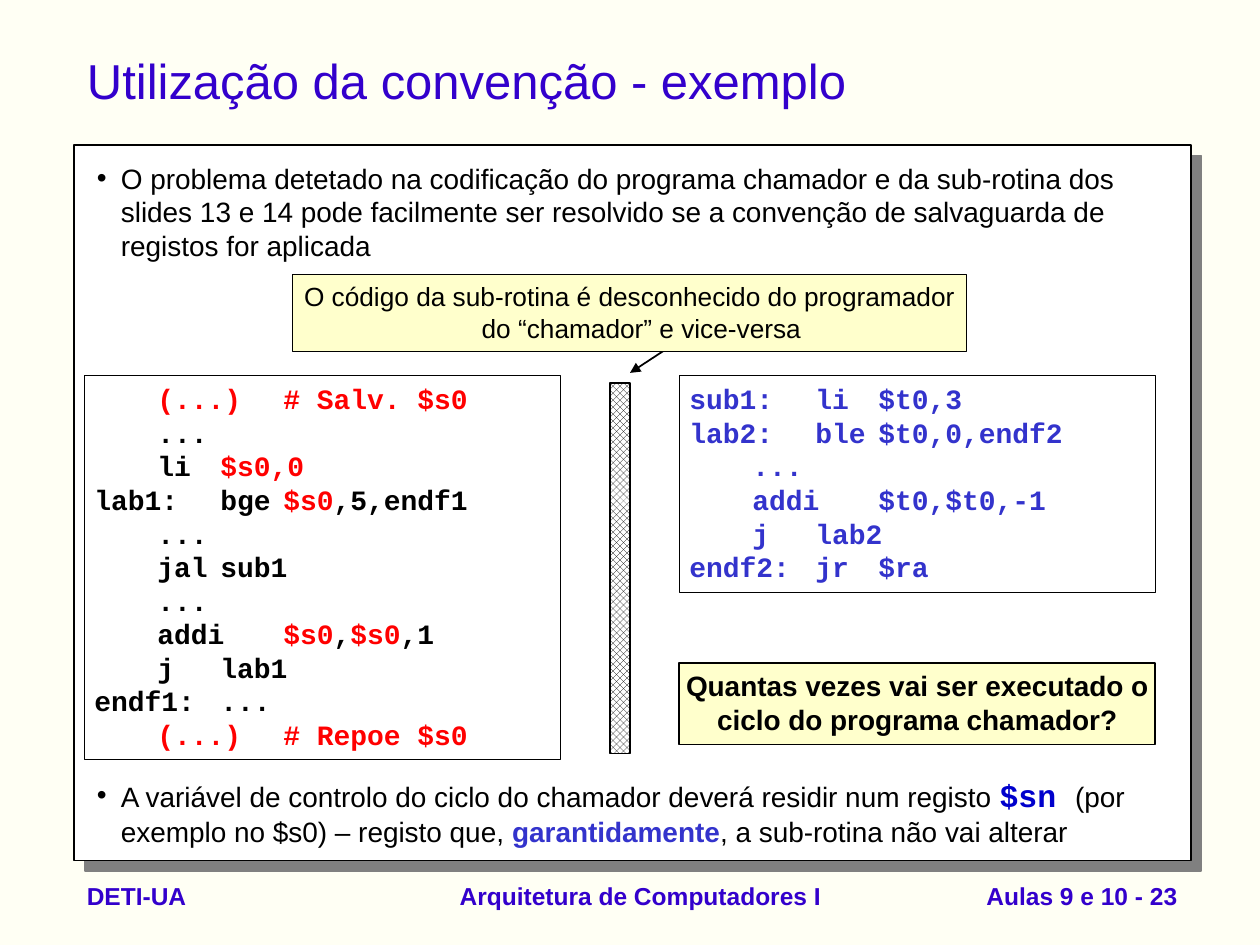
from lxml import etree
from pptx import Presentation
from pptx.dml.color import RGBColor
from pptx.enum.dml import MSO_PATTERN
from pptx.enum.shapes import MSO_CONNECTOR, MSO_SHAPE
from pptx.enum.text import MSO_ANCHOR, MSO_AUTO_SIZE, PP_ALIGN
from pptx.oxml.ns import qn
from pptx.util import Pt

RECTANGLE = MSO_SHAPE.RECTANGLE
LEFT, CENTER, RIGHT = PP_ALIGN.LEFT, PP_ALIGN.CENTER, PP_ALIGN.RIGHT
TOP, MIDDLE = MSO_ANCHOR.TOP, MSO_ANCHOR.MIDDLE
SANS, MONO = "Arial", "Courier New"
BLACK, WHITE, GREY, CREAM = "000000", "FFFFFF", "808080", "FFFFF4"
VIOLET, BLUE, DARK_BLUE = "3300CC", "3333CC", "0000CC"
RED, YELLOW = "FF0000", "FFFFCC"
HANGING = 13.7

TITLE = "Utilização da convenção - exemplo"
PROBLEM = [[
    "O problema detetado na codificação do programa chamador e da sub-rotina dos "
    "slides 13 e 14 pode facilmente ser resolvido se a convenção de salvaguarda de "
    "registos for aplicada"]]
SOLUTION = [[
    "A variável de controlo do ciclo do chamador deverá residir num registo ",
    ("$sn ", {"color": DARK_BLUE, "bold": True, "name": MONO, "size": 18}),
    "(por exemplo no $s0) – registo que, ",
    ("garantidamente", {"color": BLUE, "bold": True}),
    ", a sub-rotina não vai alterar"]]
CALLOUT = [["O código da sub-rotina é desconhecido do programador do “chamador” e vice-versa"]]
QUESTION = [["Quantas vezes vai ser executado o ciclo do programa chamador?"]]
HOT = {"color": RED}
CALLER = [
    [("\t(...)\t# Salv. $s0", HOT)],
    ["\t..."],
    ["\tli\t", ("$s0,0", HOT)],
    ["lab1:\tbge\t", ("$s0", HOT), ",5,endf1"],
    ["\t..."],
    ["\tjal\tsub1"],
    ["\t..."],
    ["\taddi\t", ("$s0", HOT), ",", ("$s0", HOT), ",1"],
    ["\tj\tlab1"],
    ["endf1:\t..."],
    [("\t(...)\t# Repoe $s0", HOT)],
]
SUBROUTINE = [
    ["sub1:\tli\t$t0,3"],
    ["lab2:\tble\t$t0,0,endf2"],
    ["\t..."],
    ["\taddi\t$t0,$t0,-1"],
    ["\tj\tlab2"],
    ["endf2:\tjr\t$ra"],
]
FOOTERS = [
    ("DETI-UA", 42.5, 170, LEFT),
    ("Arquitetura de Computadores I", 252, 228, CENTER),
    ("Aulas 9 e 10 - 23", 512, 168, RIGHT),
]


def rgb(value):
    return RGBColor.from_string(value)


def style(font, name=SANS, size=16, color=BLACK, bold=False):
    font.name, font.size, font.bold = name, Pt(size), bold
    font.color.rgb = rgb(color)


def place(shape, left, top, width, height):
    shape.left, shape.top = Pt(left), Pt(top)
    shape.width, shape.height = Pt(width), Pt(height)


def write(shape, lines, align=LEFT, anchor=TOP, inset=7.2, hanging=0, **look):
    frame = shape.text_frame
    frame.word_wrap, frame.auto_size = True, MSO_AUTO_SIZE.NONE
    frame.vertical_anchor = anchor
    frame.margin_left = frame.margin_right = Pt(inset)
    frame.margin_top = frame.margin_bottom = Pt(3.6)
    for number, line in enumerate(lines):
        para = frame.paragraphs[0] if number == 0 else frame.add_paragraph()
        para.alignment, para.space_before = align, Pt(0)
        if hanging:
            properties = para._p.get_or_add_pPr()
            properties.set("marL", str(Pt(hanging)))
            properties.set("indent", str(-Pt(hanging)))
        style(para.font, **look)
        for part in line:
            text, changes = (part, {}) if isinstance(part, str) else part
            span = para.add_run()
            span.text = text
            if changes:
                style(span.font, **{**look, **changes})


def add_box(page, left, top, width, height, fill=None, line=1):
    box = page.shapes.add_shape(RECTANGLE, Pt(left), Pt(top), Pt(width), Pt(height))
    box.shadow.inherit = False
    if fill:
        box.fill.solid()
        box.fill.fore_color.rgb = rgb(fill)
    else:
        box.fill.background()
    box.line.color.rgb, box.line.width = rgb(BLACK), Pt(line)
    return box


def add_panel(page):
    panel = add_box(page, 42.5, 82.8, 638, 409, WHITE)
    effects = panel._element.spPr.find(qn("a:effectLst"))
    shadow = etree.SubElement(effects, qn("a:outerShdw"), dist=str(Pt(8.5)),
                              dir="2700000", algn="ctr", rotWithShape="0")
    etree.SubElement(shadow, qn("a:srgbClr"), val=GREY)
    page.shapes._spTree.insert(2, panel._element)


def add_arrow(page, start, end):
    points = [Pt(value) for value in (*start, *end)]
    arrow = page.shapes.add_connector(MSO_CONNECTOR.STRAIGHT, *points)
    arrow.line.color.rgb, arrow.line.width = rgb(BLACK), Pt(1)
    etree.SubElement(arrow.line._get_or_add_ln(), qn("a:tailEnd"), type="triangle")
    etree.SubElement(arrow._element.spPr, qn("a:effectLst"))


def main():
    deck = Presentation()
    deck.slide_width, deck.slide_height = Pt(720), Pt(540)
    page = deck.slides.add_slide(deck.slide_layouts[3])
    page.background.fill.solid()
    page.background.fill.fore_color.rgb = rgb(CREAM)
    add_panel(page)

    title, problem, solution = list(page.placeholders)[:3]
    place(title, 42.5, 20.2, 638, 50.4)
    write(title, [[TITLE]], anchor=MIDDLE, size=28, color=VIOLET)
    for body, lines, top, height in ((problem, PROBLEM, 88.5, 65),
                                     (solution, SOLUTION, 440, 48)):
        place(body, 48.2, top, 627, height)
        write(body, lines, hanging=HANGING)

    caller = add_box(page, 48.2, 214.6, 272, 219.6, WHITE, 0.75)
    write(caller, CALLER, inset=5.76, name=MONO, bold=True)
    subroutine = add_box(page, 388.2, 214.6, 272, 123.8, line=0.75)
    write(subroutine, SUBROUTINE, inset=5.76, name=MONO, color=BLUE, bold=True)

    divider = add_box(page, 348.5, 218.9, 11.5, 211.7)
    divider.fill.patterned()
    divider.fill.pattern = MSO_PATTERN.OUTLINED_DIAMOND
    divider.fill.fore_color.rgb, divider.fill.back_color.rgb = rgb(BLACK), rgb(WHITE)

    question = add_box(page, 388.2, 378.7, 272, 46.8, YELLOW)
    write(question, QUESTION, CENTER, inset=0, bold=True)
    add_arrow(page, (383, 198), (360, 213.1))
    callout = add_box(page, 167, 156.8, 385.4, 43.9, YELLOW, 0.75)
    write(callout, CALLOUT, CENTER, inset=2.88, hanging=HANGING, size=15)

    for text, left, width, align in FOOTERS:
        footer = page.shapes.add_textbox(Pt(left), Pt(493.2), Pt(width), Pt(37.4))
        write(footer, [[text]], align, MIDDLE, size=14, color=VIOLET, bold=True)

    deck.save("out.pptx")


if __name__ == "__main__":
    main()
